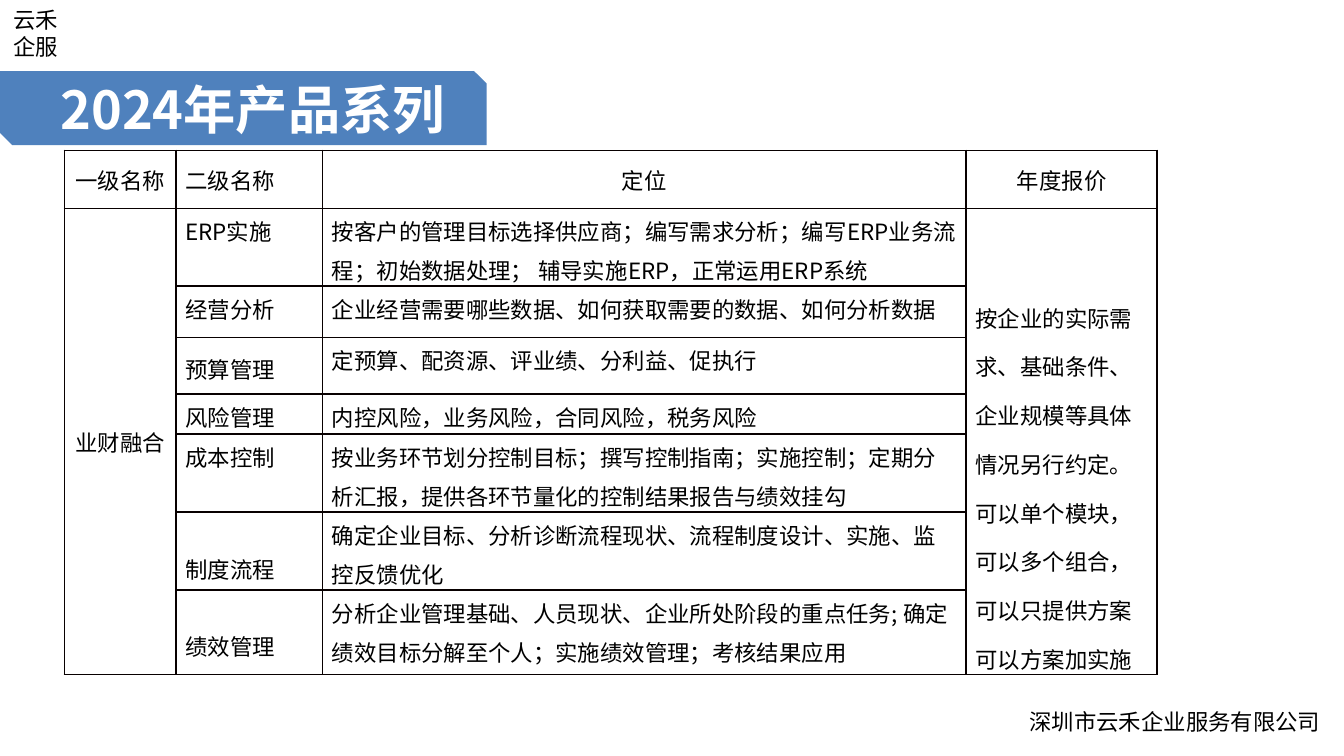
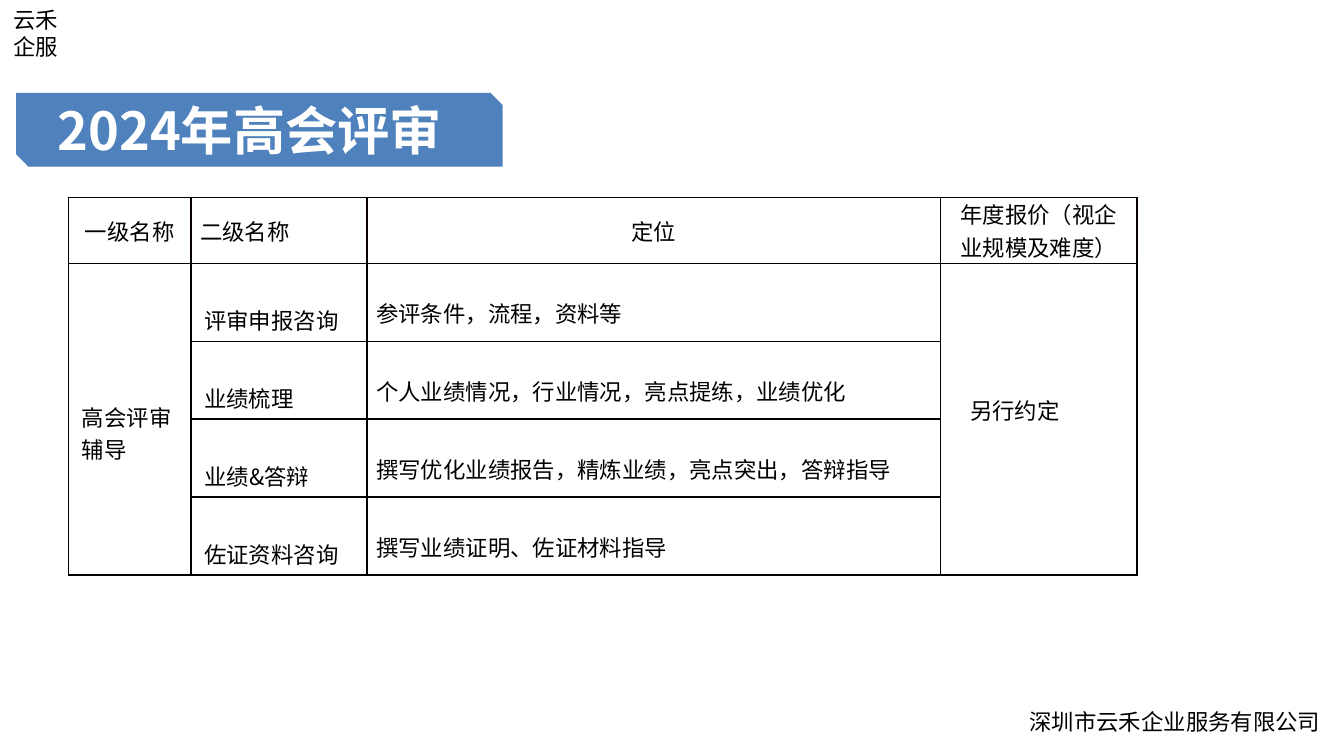
from lxml.etree import SubElement
from pptx import Presentation
from pptx.dml.color import RGBColor
from pptx.enum.shapes import MSO_SHAPE
from pptx.enum.text import MSO_ANCHOR, MSO_AUTO_SIZE, PP_ALIGN
from pptx.oxml.ns import qn
from pptx.util import Inches, Pt

COLORS = {"band": "4F81BD", "title": "FFFFFF", "text": "000000", "rule": "080000"}
LATIN, CJK = "Calibri", "Noto Sans CJK SC"
HEADINGS = ("一级名称", "二级名称", "定位")
HEADING_ALIGNS = (PP_ALIGN.CENTER, PP_ALIGN.LEFT, PP_ALIGN.CENTER, PP_ALIGN.CENTER)

PRODUCTS = [
    ("ERP实施", {}, "按客户的管理目标选择供应商；编写需求分析；编写ERP业务流程；初始数据处理； 辅导实施ERP，正常运用ERP系统"),
    ("经营分析", {}, "企业经营需要哪些数据、如何获取需要的数据、如何分析数据"),
    ("预算管理", {"anchor": MSO_ANCHOR.MIDDLE}, "定预算、配资源、评业绩、分利益、促执行"),
    ("风险管理", {}, "内控风险，业务风险，合同风险，税务风险"),
    ("成本控制", {}, "按业务环节划分控制目标；撰写控制指南；实施控制；定期分析汇报，提供各环节量化的控制结果报告与绩效挂勾"),
    ("制度流程", {"top": 0.25}, "确定企业目标、分析诊断流程现状、流程制度设计、实施、监控反馈优化"),
    ("绩效管理", {"top": 0.25}, "分析企业管理基础、人员现状、企业所处阶段的重点任务; 确定绩效目标分解至个人；实施绩效管理；考核结果应用"),
]
PRODUCT_QUOTE = ("按企业的实际需求、基础条件、企业规模等具体情况另行约定。"
                 "可以单个模块，可以多个组合，可以只提供方案可以方案加实施")
REVIEWS = [
    ("评审申报咨询", "参评条件，流程，资料等"),
    ("业绩梳理", "个人业绩情况，行业情况，亮点提练，业绩优化"),
    ("业绩&答辩", "撰写优化业绩报告，精炼业绩，亮点突出，答辩指导"),
    ("佐证资料咨询", "撰写业绩证明、佐证材料指导"),
]


def write(frame, text, size=12, font=CJK, color="text", bold=False,
          align=PP_ALIGN.LEFT, spacing=None):
    """Fill a text frame with one formatted paragraph."""
    paragraph = frame.paragraphs[0]
    paragraph.alignment = align
    if spacing:
        paragraph.line_spacing = spacing
    run = paragraph.add_run()
    run.text = text
    run.font.size, run.font.name, run.font.bold = Pt(size), font, bold
    run.font.color.rgb = RGBColor.from_string(COLORS[color])
    SubElement(run.font._element, qn("a:ea"), typeface=font)


def add_label(slide, box, text, insets=(0.1, 0.05, 0.1, 0.05), grow=True, **style):
    """Place a wrapping text box; a box that does not grow is centred vertically."""
    frame = slide.shapes.add_textbox(*map(Inches, box)).text_frame
    frame.word_wrap = True
    frame.auto_size = MSO_AUTO_SIZE.SHAPE_TO_FIT_TEXT if grow else MSO_AUTO_SIZE.NONE
    frame.vertical_anchor = MSO_ANCHOR.TOP if grow else MSO_ANCHOR.MIDDLE
    (frame.margin_left, frame.margin_top,
     frame.margin_right, frame.margin_bottom) = map(Inches, insets)
    write(frame, text, **style)


def add_title(slide, box, text, text_left, text_width):
    """Draw the snipped title band and its heading."""
    left, top, width, height = box
    band = slide.shapes.add_shape(MSO_SHAPE.SNIP_2_DIAG_RECTANGLE, *map(Inches, box))
    band.shadow.inherit = False
    band.fill.solid()
    band.fill.fore_color.rgb = RGBColor.from_string(COLORS["band"])
    band.line.fill.background()
    add_label(slide, (left + text_left, top, text_width, height), text,
              insets=(0.08, 0.04, 0.08, 0.04), grow=False,
              size=28, color="title", bold=True)


def rule_cell(cell, color):
    """Give a cell thin rules on all sides and no fill."""
    properties = cell._tc.get_or_add_tcPr()
    for side in ("a:lnL", "a:lnR", "a:lnT", "a:lnB"):
        line = SubElement(properties, qn(side), w=str(Pt(1)))
        fill = SubElement(line, qn("a:solidFill"))
        SubElement(fill, qn("a:srgbClr"), val=COLORS[color])
    cell.fill.background()


def fill_cell(cell, text, left=0.07, top=0, right=0.07,
              anchor=MSO_ANCHOR.TOP, **style):
    """Write a cell with its margins and anchor."""
    cell.margin_left, cell.margin_top = Inches(left), Inches(top)
    cell.margin_right, cell.margin_bottom = Inches(right), Inches(0)
    cell.vertical_anchor = anchor
    write(cell.text_frame, text, **style)


def add_offer_table(slide, origin, widths, heights, price_heading, family, services,
                    quote, body_rule="rule"):
    """Build a price table whose first and last columns span all services."""
    size = sum(widths), sum(heights)
    table = slide.shapes.add_table(len(heights), len(widths),
                                   *map(Inches, origin + size)).table
    table.first_row = table.horz_banding = False
    for column, width in zip(table.columns, widths):
        column.width = Inches(width)
    for index, (row, height) in enumerate(zip(table.rows, heights)):
        row.height = Inches(height)
        for cell in row.cells:
            rule_cell(cell, body_rule if index else "rule")
    for index, heading in enumerate(HEADINGS + (price_heading,)):
        fill_cell(table.cell(0, index), heading, anchor=MSO_ANCHOR.MIDDLE,
                  align=HEADING_ALIGNS[index])
    for index, (text, style) in ((0, family), (3, quote)):
        table.cell(1, index).merge(table.cell(len(services), index))
        fill_cell(table.cell(1, index), text, **style)
    for row, service in enumerate(services, 1):
        for column, (text, style) in enumerate(service, 1):
            fill_cell(table.cell(row, column), text, **style)


def add_page(deck):
    """Add a blank slide with the company mark and footer."""
    slide = deck.slides.add_slide(deck.slide_layouts[6])
    add_label(slide, (0, 0, 0.56, 0.5), "云禾企服", font=LATIN)
    add_label(slide, (7.49, 5.22, 2.46, 0.3), "深圳市云禾企业服务有限公司",
              insets=(0.17, 0.05, 0.1, 0.05), font=LATIN)
    return slide


def add_product_slide(deck):
    """Build the product series slide."""
    slide = add_page(deck)
    add_title(slide, (0, 0.53, 3.62, 0.55), "2024年产品系列", 0.37, 6.92)
    services = [((name, {"spacing": 1.2, **style}), (aim, {"spacing": 1.2}))
                for name, style, aim in PRODUCTS]
    add_offer_table(slide, (0.48, 1.12), (0.83, 1.09, 4.79, 1.42),
                    (0.43, 0.58, 0.38, 0.42, 0.3, 0.58, 0.58, 0.63), "年度报价",
                    ("业财融合", {"anchor": MSO_ANCHOR.MIDDLE, "align": PP_ALIGN.CENTER}),
                    services, (PRODUCT_QUOTE, {"top": 0.57, "spacing": 1.5}))


def add_review_slide(deck):
    """Build the senior accountant review slide."""
    slide = add_page(deck)
    add_title(slide, (0.12, 0.69, 3.62, 0.55), "2024年高会评审", 0.23, 6.36)
    services = [((name, {"left": 0.1, "top": 0.3, "right": 0.1}), (aim, {"top": 0.25}))
                for name, aim in REVIEWS]
    add_offer_table(slide, (0.51, 1.47), (0.91, 1.31, 4.27, 1.46),
                    (0.49,) + (0.58,) * len(REVIEWS), "年度报价（视企业规模及难度）",
                    ("高会评审辅导", {"left": 0.1, "top": 1.02, "right": 0.1}),
                    services, ("另行约定", {"left": 0.22, "top": 0.97}),
                    body_rule="text")


def main():
    """Build and save the deck."""
    deck = Presentation()
    deck.slide_width, deck.slide_height = Inches(10), Inches(10 * 9 / 16)
    add_product_slide(deck)
    add_review_slide(deck)
    deck.save("out.pptx")


if __name__ == "__main__":
    main()
